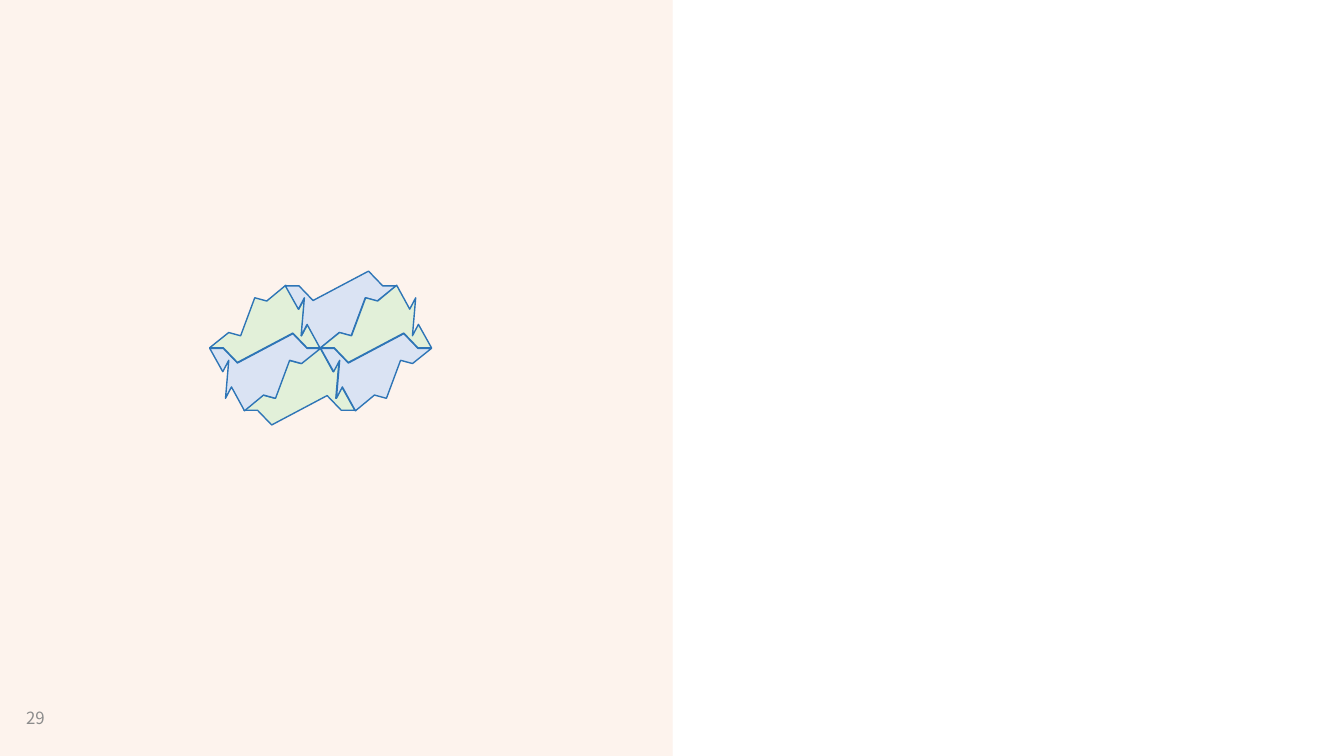
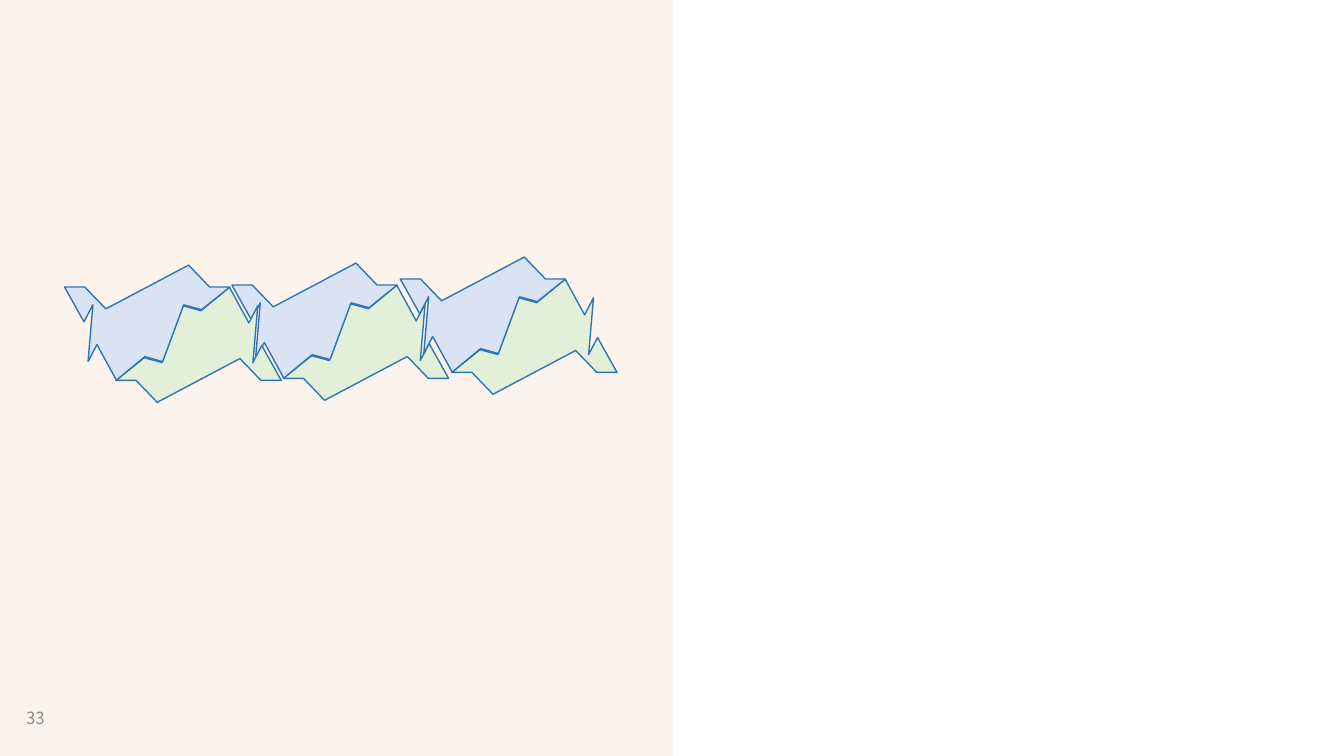
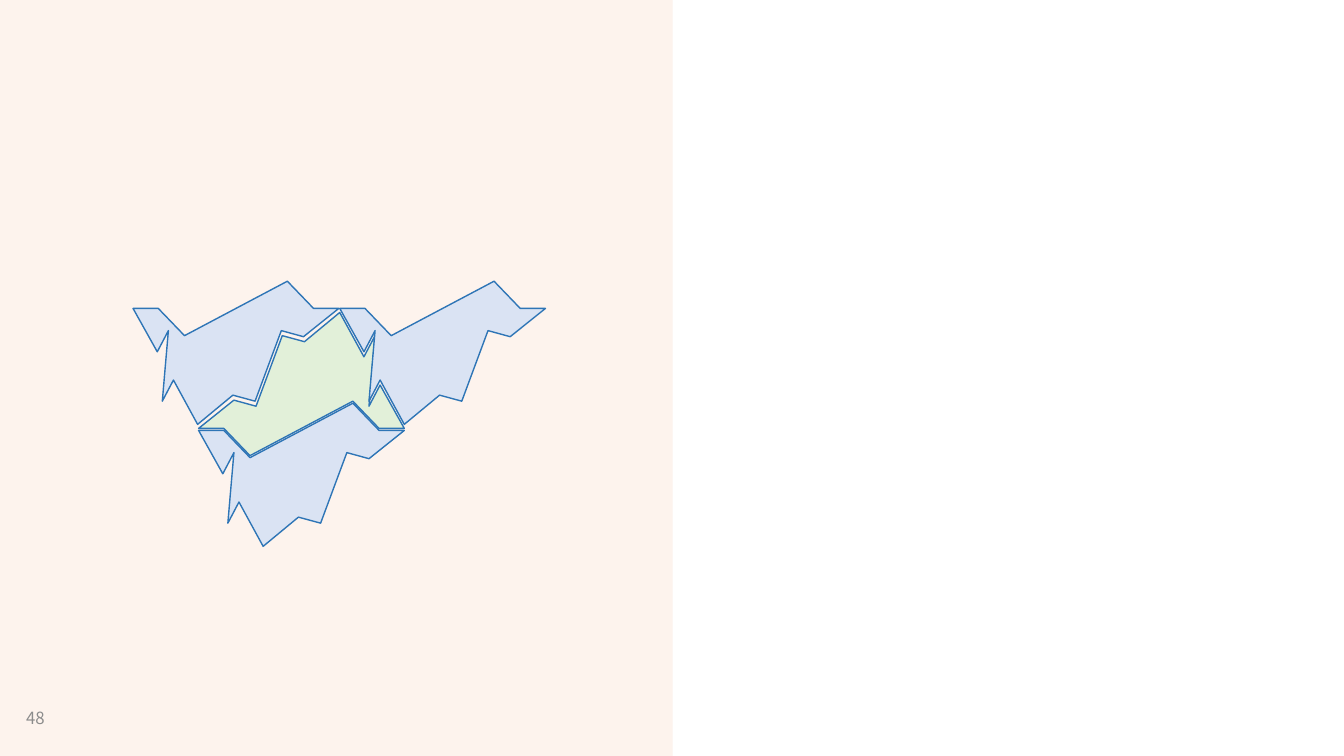
"""Build three slides of interlocking tiles beside a tinted left half."""
from lxml import etree
from pptx import Presentation
from pptx import util as u
from pptx.dml import color
from pptx.enum import shapes, text
from pptx.oxml import ns

PX = 9144
WIDTH, HEIGHT, HALF = 1333, 750, 667
FONT = "Noto Sans CJK SC"
COLORS = {
    "band": "F4B183",
    "divider": "FBE5D6",
    "number": "8C8C8C",
    "outline": "2E75B6",
    "green": "E2F0D9",
    "blue": "DAE3F3",
}
TILE_WIDTH = 204
TILE = [
    (140, 0), (105, 29), (83, 23), (70, 58), (57, 93), (35, 87),
    (0, 115), (25, 115), (51, 142), (102, 115), (153, 88), (179, 115),
    (204, 115), (180, 72), (169, 93), (172, 58), (175, 23), (164, 44),
]


def rgb(name):
    return color.RGBColor.from_string(COLORS[name])


def add_text(slide, content, left, top, width, height, size=12, fill="number"):
    shape = slide.shapes.add_textbox(left * PX, top * PX, width * PX, height * PX)
    frame = shape.text_frame
    frame.word_wrap = True
    frame.vertical_anchor = text.MSO_ANCHOR.MIDDLE
    paragraph = frame.paragraphs[0]
    paragraph.text = content
    paragraph.font.name = FONT
    paragraph.font.size = u.Pt(size)
    paragraph.font.color.rgb = rgb(fill)


presentation = Presentation()
presentation.slide_width = WIDTH * PX
presentation.slide_height = HEIGHT * PX
layout = presentation.slide_layouts[6]

trio = [("blue", 337, 279), ("blue", 197, 400), ("blue", 132, 279)]
rosette = [
    ("green", 242, 345), ("blue", 208, 331), ("green", 208, 283),
    ("blue", 283, 269), ("blue", 318, 331), ("green", 318, 283),
]
pairs = [
    [("green", left, top), ("blue", left - 51, top - 22)]
    for left, top in [(281, 283), (448, 277), (115, 285)]
]
pages = [
    ("29", 110, True, [rosette]),
    ("33", 164, True, pairs),
    ("48", 204, False, [[("green", 197, 310)] + trio]),
]

for number, tile_width, grouped, clusters in pages:
    slide = presentation.slides.add_slide(layout)
    add_text(slide, number, 16, 693, 67, 39)
    for cluster in clusters:
        target = slide.shapes.add_group_shape().shapes if grouped else slide.shapes
        for fill, left, top in cluster:
            builder = target.build_freeform(*TILE[0], scale=PX * tile_width / TILE_WIDTH)
            builder.add_line_segments(TILE[1:], close=True)
            tile = builder.convert_to_shape(left * PX, top * PX)
            tile.rotation = 180 if fill == "blue" else 0
            tile.fill.solid()
            tile.fill.fore_color.rgb = rgb(fill)
            tile.line.color.rgb = rgb("outline")
            tile.line.width = u.Pt(1)
            tile.shadow.inherit = False

band = slide.shapes.add_shape(shapes.MSO_SHAPE.RECTANGLE, 0, 0, HALF * PX, HEIGHT * PX)
band.fill.solid()
band.fill.fore_color.rgb = rgb("band")
band.line.fill.background()
band.shadow.inherit = False
divider = slide.shapes.add_connector(
    shapes.MSO_CONNECTOR.STRAIGHT, HALF * PX, HEIGHT * PX, HALF * PX, 0
)
divider.line.color.rgb = rgb("divider")
divider.line.width = u.Pt(0.25)
etree.SubElement(divider.element.find(ns.qn("p:spPr")), ns.qn("a:effectLst"))
for shape, opacity in [(band, 14), (divider, 50)]:
    tint = next(shape.element.iter(ns.qn("a:srgbClr")))
    etree.SubElement(tint, ns.qn("a:alpha")).set("val", str(opacity * 1000))
    layout.shapes.element.append(shape.element)

presentation.save("out.pptx")
